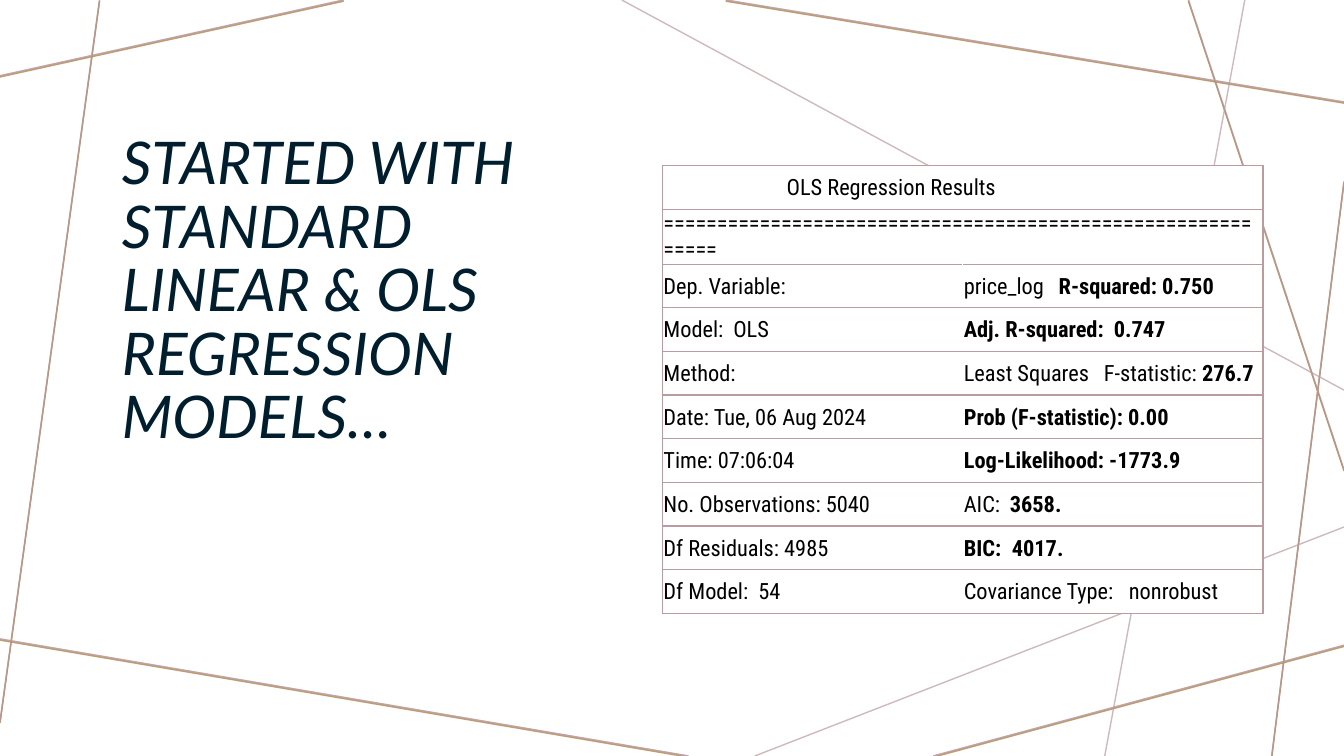
from lxml.etree import SubElement
from pptx import Presentation
from pptx.dml.color import RGBColor
from pptx.enum.shapes import MSO_CONNECTOR
from pptx.enum.text import MSO_ANCHOR, PP_ALIGN
from pptx.oxml import parse_xml
from pptx.oxml.ns import nsdecls, qn
from pptx.util import Cm, Pt

MAUVE = RGBColor(0xBA, 0x9C, 0xA0)
GOLD = RGBColor(0xA5, 0x79, 0x31)
NAVY = RGBColor(0x00, 0x1E, 0x2E)
BLACK = RGBColor(0, 0, 0)
WHITE = RGBColor(0xFF, 0xFF, 0xFF)

WIDTH, HEIGHT = 33.87, 19.05
GOLD_DROP = 0.03

# Each line is x1, y1, x2, y2 in centimetres
FRAME_LINES = [
    (8.66, 0, 0, 1.91),
    (2.51, 0, 0, 18.19),
    (17.35, HEIGHT, 0, 16.1),
    (WIDTH, 16.26, 23.52, HEIGHT),
    (WIDTH, 4.57, 32.05, HEIGHT),
    (WIDTH, 11.84, 29.95, 0),
    (WIDTH, 2.57, 18.29, 0),
]
THIN_LINES = [
    (15.67, 0, WIDTH, 9.83),
    (WIDTH, 13.28, 19.02, HEIGHT),
    (27.84, HEIGHT, 31.37, 0),
]

TITLE = "STARTED WITH STANDARD LINEAR & OLS REGRESSION MODELS…"
TABLE_TITLE = "OLS Regression Results"
RULE = "=" * 60


def plain(text):
    return text, False


def bold(text):
    return text, True


# Each cell is its runs and the tab stop in centimetres, if it has one
RESULTS = [
    (([plain("Dep. Variable:")], None),
     ([plain("price_log\t"), bold("R-squared: 0.750")], 2.39)),
    (([plain("Model:\tOLS")], 1.76),
     ([bold("Adj. R-squared:\t0.747")], 3.78)),
    (([plain("Method:")], None),
     ([plain("Least Squares\tF-statistic: "), bold("276.7")], 3.53)),
    (([plain("Date: Tue, 06 Aug 2024")], None),
     ([bold("Prob (F-statistic): 0.00")], None)),
    (([plain("Time: 07:06:04")], None),
     ([bold("Log-Likelihood: -1773.9")], None)),
    (([plain("No. Observations: 5040")], None),
     ([plain("AIC:\t"), bold("3658.")], 1.16)),
    (([plain("Df Residuals: 4985")], None),
     ([bold("BIC:\t4017.")], 1.21)),
    (([plain("Df Model:\t54")], 2.39),
     ([plain("Covariance Type:\tnonrobust")], 4.16)),
]


def add_text(p, text, size, font, color, bold=False, italic=False):
    r = p.add_run()
    r.text = text
    r.font.size = Pt(size)
    r.font.name = font
    r.font.color.rgb = color
    r.font.bold = bold
    r.font.italic = italic


def add_lines(s, lines, color, left=0, top=0):
    for x1, y1, x2, y2 in lines:
        c = s.shapes.add_connector(
            MSO_CONNECTOR.STRAIGHT,
            Cm(left + x1), Cm(top + y1), Cm(left + x2), Cm(top + y2))
        c.line.width = Pt(1)
        c.line.color.rgb = color
        srgb = next(c.line._ln.iter(qn("a:srgbClr")))
        SubElement(srgb, qn("a:alpha"), val="70000")
        SubElement(c._element.spPr, qn("a:effectLst"))


def add_title(s, left, top, width, height):
    tf = s.shapes.add_textbox(Cm(left), Cm(top), Cm(width), Cm(height)).text_frame
    tf.word_wrap = True
    tf.vertical_anchor = MSO_ANCHOR.BOTTOM
    p = tf.paragraphs[0]
    p.line_spacing = 0.9
    add_text(p, TITLE, 42, "Lato", NAVY, italic=True)


def set_borders(cell, sides):
    """Draw the given sides, listed in the order L, R, T, B."""
    tcPr = cell._tc.get_or_add_tcPr()
    for i, side in enumerate(sides):
        tcPr.insert(i, parse_xml(
            f'<a:ln{side} {nsdecls("a")} w="12700"><a:solidFill>'
            f'<a:srgbClr val="{MAUVE}"/></a:solidFill></a:ln{side}>'))


def fill_cell(cell, runs, tab=None, sides="LRTB"):
    cell.fill.solid()
    cell.fill.fore_color.rgb = WHITE
    cell.vertical_anchor = MSO_ANCHOR.MIDDLE
    cell.margin_left = cell.margin_right = cell.margin_top = Cm(0.03)
    cell.margin_bottom = 0
    set_borders(cell, sides)
    p = cell.text_frame.paragraphs[0]
    if tab:
        tabs = SubElement(p._p.get_or_add_pPr(), qn("a:tabLst"))
        SubElement(tabs, qn("a:tab"), pos=str(Cm(tab)), algn="l")
    for text, is_bold in runs:
        add_text(p, text, 16, "Roboto Condensed", BLACK, bold=is_bold)


def add_results_table(s, left, top, width, height):
    rows = len(RESULTS) + 2
    table = s.shapes.add_table(
        rows, 2, Cm(left), Cm(top), Cm(width), Cm(height)).table
    table.first_row = table.horz_banding = False
    for column in table.columns:
        column.width = Cm(width / 2)
    row_height = 1.1
    for row in table.rows:
        row.height = Cm(row_height)
    table.rows[1].height = Cm(height - row_height * (rows - 1))

    for i, text in enumerate((TABLE_TITLE, RULE)):
        table.cell(i, 0).merge(table.cell(i, 1))
        fill_cell(table.cell(i, 0), [plain(text)])
        set_borders(table.cell(i, 1), "RTB")
    heading = table.cell(0, 0)
    heading.text_frame.paragraphs[0].alignment = PP_ALIGN.CENTER
    heading.margin_right = Cm(3.63)

    for i, (name, value) in enumerate(RESULTS, start=2):
        fill_cell(table.cell(i, 0), *name, sides="LTB")
        fill_cell(table.cell(i, 1), *value, sides="RTB")


def main():
    prs = Presentation()
    prs.slide_width, prs.slide_height = Cm(WIDTH), Cm(HEIGHT)
    s = prs.slides.add_slide(prs.slide_layouts[6])
    s.background.fill.solid()
    s.background.fill.fore_color.rgb = WHITE
    add_lines(s, FRAME_LINES, MAUVE)
    add_lines(s, FRAME_LINES, GOLD, top=GOLD_DROP)
    add_lines(s, FRAME_LINES, MAUVE)
    add_title(s, 2.82, 1.47, 12.47, 10.03)
    add_lines(s, THIN_LINES, MAUVE)
    add_results_table(s, 16.69, 4.17, 15.14, 10.87)
    prs.save("out.pptx")


if __name__ == "__main__":
    main()
